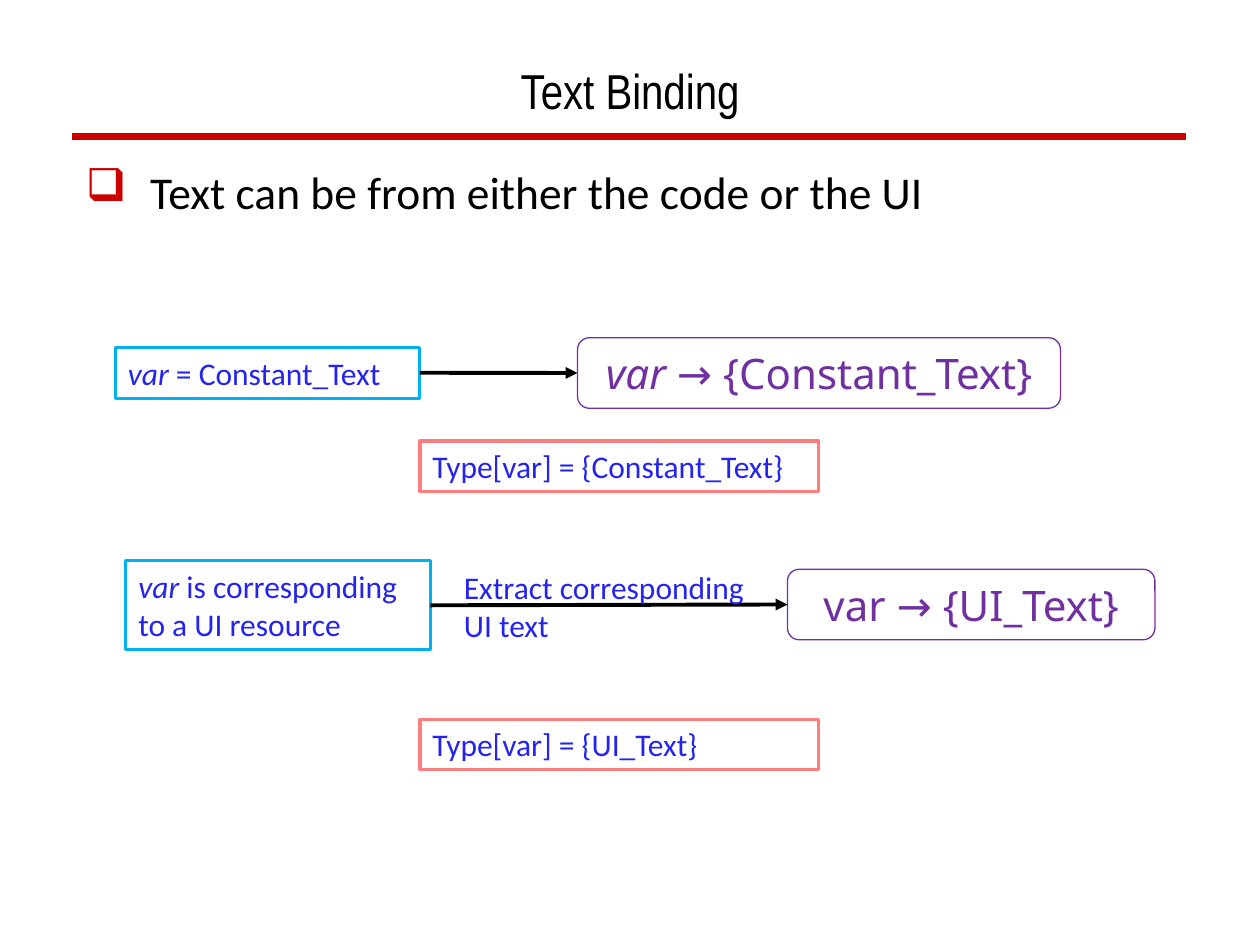
from pptx import Presentation
from pptx.dml.color import RGBColor
from pptx.enum.shapes import MSO_CONNECTOR, MSO_SHAPE
from pptx.enum.text import MSO_ANCHOR, MSO_AUTO_SIZE, PP_ALIGN
from pptx.oxml.ns import qn
from pptx.util import Pt
from lxml.etree import SubElement

theme = {
    "title": {"name": "Arial Narrow", "size": Pt(28), "color": "000000"},
    "body": {"name": "Calibri", "size": Pt(26), "color": "000000"},
    "note": {"name": "Calibri", "size": Pt(18), "color": "2424EE"},
    "bind": {"name": "Noto Sans", "size": Pt(24), "color": "7030A0"},
    "rule": "CC0000",
    "arrow": "000000",
}
kinds = {
    "code": (MSO_SHAPE.RECTANGLE, "00B0F0", 1.75, "note"),
    "type": (MSO_SHAPE.RECTANGLE, "FF7D7D", 1.75, "note"),
    "bind": (MSO_SHAPE.ROUNDED_RECTANGLE, "7030A0", 0.75, "bind"),
}


def write(shape, runs, style, align, anchor, fit=MSO_AUTO_SIZE.NONE):
    frame = shape.text_frame
    form = {"word_wrap": True, "auto_size": fit, "vertical_anchor": anchor}
    for key, value in form.items():
        setattr(frame, key, value)
    para = frame.paragraphs[0]
    para.alignment = align
    for text, slant in runs:
        run = para.add_run()
        run.text = text
        form = {**theme[style], "italic": slant}
        run.font.color.rgb = RGBColor.from_string(form.pop("color"))
        for key, value in form.items():
            setattr(run.font, key, value)
    return para


def draw(start, end, color, width):
    line = slide.shapes.add_connector(
        MSO_CONNECTOR.STRAIGHT, *[Pt(v) for v in (*start, *end)])
    line.line.color.rgb = RGBColor.from_string(color)
    line.line.width = Pt(width)
    SubElement(line._element.spPr, qn("a:effectLst"))
    return line


deck = Presentation()
deck.slide_width, deck.slide_height = Pt(720), Pt(540)
slide = deck.slides.add_slide(deck.slide_layouts[5])

draw((41, 78), (678, 78), theme["rule"], 4.5)

title = slide.shapes.title
place = {"left": 42, "top": 12, "width": 636, "height": 60}
for key, value in place.items():
    setattr(title, key, Pt(value))
write(title, [("Text Binding", False)], "title", PP_ALIGN.CENTER, MSO_ANCHOR.BOTTOM)

body = slide.shapes.add_textbox(Pt(42), Pt(90), Pt(636), Pt(60))
point = write(body, [("Text can be from either the code or the UI", False)],
              "body", PP_ALIGN.LEFT, MSO_ANCHOR.TOP)
point.space_before = Pt(5.2)
props = point._p.get_or_add_pPr()
props.set("marL", str(Pt(36.75)))
props.set("indent", str(Pt(-36.75)))
tint = SubElement(props, qn("a:buClr"))
SubElement(tint, qn("a:srgbClr"), val=theme["rule"])
SubElement(props, qn("a:buChar"), char="\u2751")

parts = [
    ("code", (66, 198.5, 174, 29), [("var", True), (" = Constant_Text", False)]),
    ("bind", (330, 193, 276, 40.3), [("var ", True), ("→ {Constant_Text}", False)]),
    ("code", (72, 320.4, 174, 51),
     [("var", True), (" is corresponding to a UI resource", False)]),
    ("bind", (450, 325.3, 210, 40.3), [("var → {UI_Text}", False)]),
    ("type", (240, 252, 228, 29), [("Type[var] = {Constant_Text}", False)]),
    ("type", (240, 411, 228, 29), [("Type[var] = {UI_Text}", False)]),
]
boxes = []
for kind, area, runs in parts:
    form, color, width, style = kinds[kind]
    box = slide.shapes.add_shape(form, *[Pt(v) for v in area])
    box.shadow.inherit = False
    box.fill.background()
    box.line.color.rgb = RGBColor.from_string(color)
    box.line.width = Pt(width)
    mid = kind == "bind"
    write(box, runs, style, PP_ALIGN.CENTER if mid else PP_ALIGN.LEFT,
          MSO_ANCHOR.MIDDLE if mid else MSO_ANCHOR.TOP,
          MSO_AUTO_SIZE.SHAPE_TO_FIT_TEXT)
    boxes.append(box)

for code, bind in (boxes[0:2], boxes[2:4]):
    arrow = draw((0, 0), (0, 0), theme["arrow"], 2.25)
    arrow.begin_connect(code, 3)
    arrow.end_connect(bind, 1)
    SubElement(arrow.line._get_or_add_ln(), qn("a:tailEnd"), type="triangle")

label = slide.shapes.add_textbox(Pt(258), Pt(321), Pt(180), Pt(51))
write(label, [("Extract corresponding UI text", False)], "note",
      PP_ALIGN.LEFT, MSO_ANCHOR.TOP, MSO_AUTO_SIZE.SHAPE_TO_FIT_TEXT)

deck.save("out.pptx")
